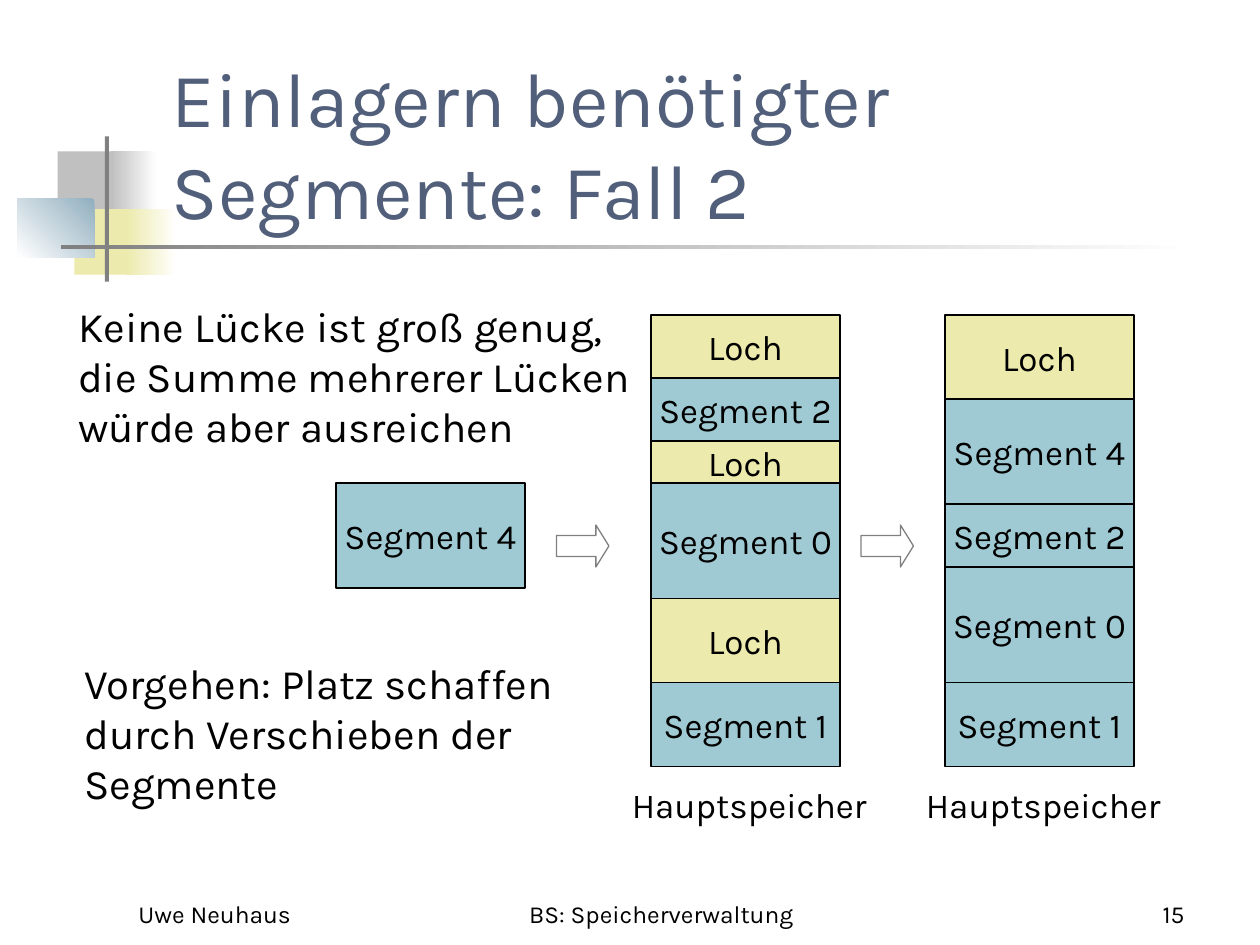
from pptx import Presentation
from pptx.dml.color import RGBColor
from pptx.enum.shapes import MSO_SHAPE
from pptx.enum.text import MSO_ANCHOR, MSO_AUTO_SIZE, PP_ALIGN
from pptx.util import Pt

RECTANGLE, RIGHT_ARROW = MSO_SHAPE.RECTANGLE, MSO_SHAPE.RIGHT_ARROW
LEFT, CENTER, RIGHT = PP_ALIGN.LEFT, PP_ALIGN.CENTER, PP_ALIGN.RIGHT
TOP, MIDDLE, BOTTOM = MSO_ANCHOR.TOP, MSO_ANCHOR.MIDDLE, MSO_ANCHOR.BOTTOM

FONT = "Karla"
BLACK, WHITE, GRAY, SILVER = "000000", "FFFFFF", "808080", "C0C0C0"
TITLE_COLOR, BLUE, YELLOW, STEEL = "515F7B", "9FCAD3", "ECEAAC", "91AFBF"

# Content (lengths in points); a text is a list of paragraphs, each a list of lines
TITLE = "Einlagern benötigter Segmente: Fall 2"
NOTES = [
    ((37.5, 168, 348, 94), [["Keine Lücke ist groß genug, ",
                             "die Summe mehrerer Lücken ",
                             "würde aber ausreichen"]]),
    ((41, 372, 300, 94), [["Vorgehen: Platz schaffen"],
                          ["durch Verschieben der"],
                          ["Segmente"]]),
]
# Memory columns: left edge, then blocks from top to bottom with their heights
MEMORIES = [
    (372, [("Loch", 36), ("Segment 2", 36), ("Loch", 24),
           ("Segment 0", 66), ("Loch", 48), ("Segment 1", 48)]),
    (540, [("Loch", 48), ("Segment 4", 60), ("Segment 2", 36),
           ("Segment 0", 66), ("Segment 1", 48)]),
]
MEMORY_LABEL = "Hauptspeicher"
MEMORY_TOP, BLOCK_WIDTH = 180, 108
NEW_SEGMENT = ("Segment 4", 192, 276, 60)
ARROW_LEFTS = [318, 492]
FOOTERS = [
    ("Uwe Neuhaus", 72, 150, LEFT),
    ("BS: Speicherverwaltung", 264, 228, CENTER),
    ("15", 534, 150, RIGHT),
]
# Decoration: box, colours from start to end, gradient angle
DECORATION = [
    ((33, 86.5, 34.5, 37.5), [SILVER], 0),
    ((63.5, 86.5, 26, 37.5), [SILVER, WHITE], 0),
    ((42.5, 119.5, 33, 37.5), [YELLOW], 0),
    ((72, 119.5, 29, 37.5), [YELLOW, WHITE], 0),
    ((10, 113.5, 44, 33.5), [STEEL, WHITE], 225),
    ((59.9, 78, 2.4, 83), [GRAY], 0),
    ((34.8, 140, 648, 2.5), [GRAY, WHITE], 0),
]


def rgb(color):
    return RGBColor.from_string(color)


def points(box):
    return [Pt(value) for value in box]


def write(shape, paragraphs, size, color=BLACK, align=LEFT, anchor=TOP, wrap=False):
    frame = shape.text_frame
    frame.word_wrap = wrap
    frame.auto_size = MSO_AUTO_SIZE.NONE
    frame.vertical_anchor = anchor
    for index, lines in enumerate(paragraphs):
        paragraph = frame.add_paragraph() if index else frame.paragraphs[0]
        paragraph.alignment = align
        for number, line in enumerate(lines):
            if number:
                paragraph.add_line_break()
            run = paragraph.add_run()
            run.text = line
            run.font.name = FONT
            run.font.size = Pt(size)
            run.font.color.rgb = rgb(color)


def add_shape(kind, box, colors, line=None, angle=0):
    shape = slide.shapes.add_shape(kind, *points(box))
    shape.shadow.inherit = False
    if len(colors) == 1:
        shape.fill.solid()
        shape.fill.fore_color.rgb = rgb(colors[0])
    else:
        shape.fill.gradient()
        shape.fill.gradient_angle = angle
        for stop, color in zip(shape.fill.gradient_stops, colors):
            stop.color.rgb = rgb(color)
    if line:
        shape.line.color.rgb = rgb(line)
        shape.line.width = Pt(0.75)
    else:
        shape.line.fill.background()
    return shape


def add_text(box, paragraphs, size, **style):
    write(slide.shapes.add_textbox(*points(box)), paragraphs, size, **style)


def add_block(name, left, top, height):
    color = YELLOW if name == "Loch" else BLUE
    block = add_shape(RECTANGLE, (left, top, BLOCK_WIDTH, height), [color], BLACK)
    write(block, [[name]], 20, align=CENTER, anchor=MIDDLE)


presentation = Presentation()
presentation.slide_width, presentation.slide_height = Pt(720), Pt(540)
slide = presentation.slides.add_slide(presentation.slide_layouts[5])

# Decoration, kept behind the title
for box, colors, angle in DECORATION:
    add_shape(RECTANGLE, box, colors, angle=angle)

# Title
title = slide.shapes.title
title.left, title.top, title.width, title.height = points((91, 48, 613.5, 90))
write(title, [[TITLE]], 44, TITLE_COLOR, anchor=BOTTOM, wrap=True)
slide.shapes.element.append(title.element)

# Explanations
for box, paragraphs in NOTES:
    add_text(box, paragraphs, 24)

# Memory columns, stacked from the top, with their labels
for left, blocks in MEMORIES:
    top = MEMORY_TOP
    for name, height in blocks:
        add_block(name, left, top, height)
        top += height
    add_text((left - 18, top + 6, 152, 31.5), [[MEMORY_LABEL]], 20)

# Segment to be loaded and arrows
add_block(*NEW_SEGMENT)
for left in ARROW_LEFTS:
    arrow = add_shape(RIGHT_ARROW, (left, 300, 30, 24), [WHITE], GRAY)
    arrow.adjustments[1] = 0.31

# Footer
for text, left, width, align in FOOTERS:
    add_text((left, 498, width, 36), [[text]], 14, align=align, anchor=BOTTOM, wrap=True)

presentation.save("out.pptx")
